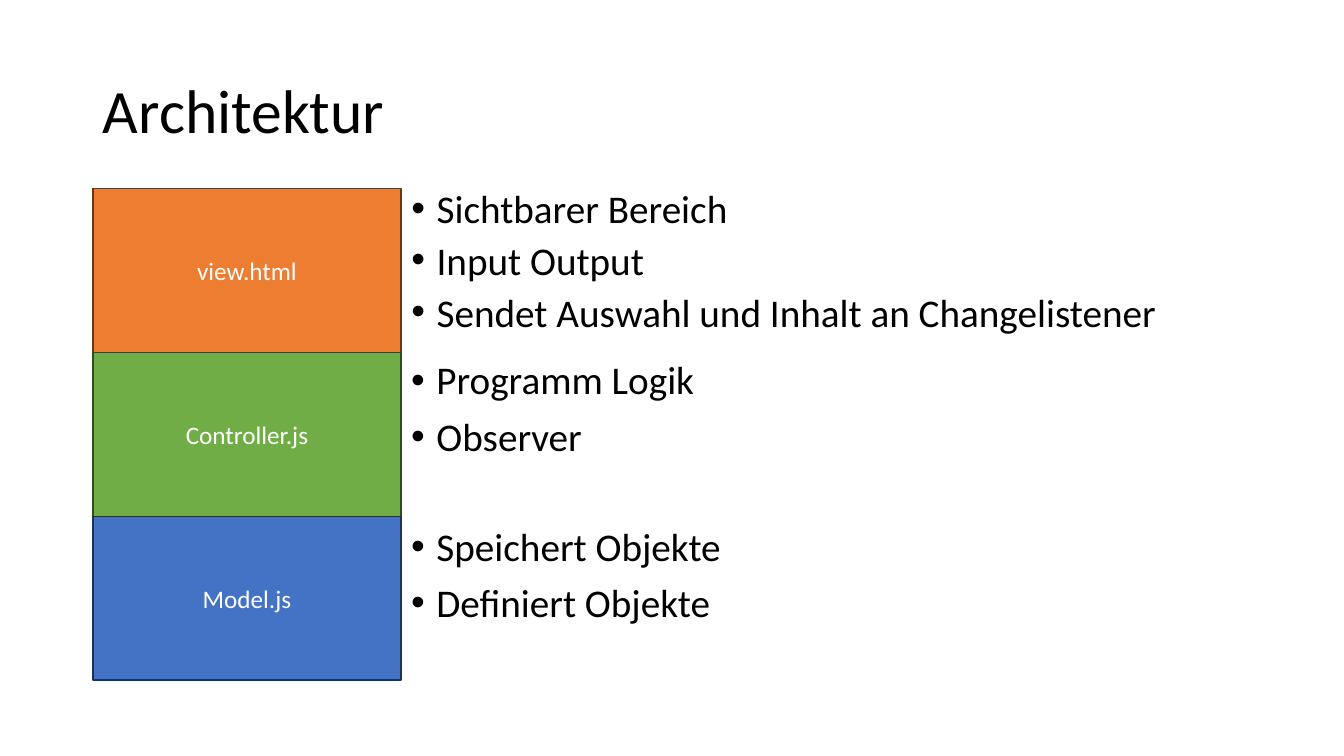
from lxml.etree import SubElement
from pptx import Presentation
from pptx.dml.color import RGBColor
from pptx.enum.shapes import MSO_SHAPE
from pptx.enum.text import MSO_ANCHOR, MSO_AUTO_SIZE, PP_ALIGN
from pptx.oxml.ns import qn
from pptx.util import Cm, Pt

BLACK = RGBColor(0x00, 0x00, 0x00)
WHITE = RGBColor(0xFF, 0xFF, 0xFF)
ORANGE, DARK_ORANGE = RGBColor(0xED, 0x7D, 0x31), RGBColor(0x68, 0x37, 0x15)
GREEN, DARK_GREEN = RGBColor(0x70, 0xAD, 0x47), RGBColor(0x31, 0x4C, 0x1F)
BLUE, DARK_BLUE = RGBColor(0x44, 0x72, 0xC4), RGBColor(0x1E, 0x32, 0x56)

# Content: name, fill, outline, bullets, line spacing, list top in cm
TITLE = "Architektur"
LAYERS = [
    ("view.html", ORANGE, DARK_ORANGE,
     ["Sichtbarer Bereich", "Input Output",
      "Sendet Auswahl und Inhalt an Changelistener"], 0.8, 4.75),
    ("Controller.js", GREEN, DARK_GREEN,
     ["Programm Logik", "Observer"], 0.9, 8.97),
    ("Model.js", BLUE, DARK_BLUE,
     ["Speichert Objekte", "Definiert Objekte"], 0.9, 13.16),
]

# Layout in cm
LEFT, STACK_TOP = 2.34, 4.75
LAYER_WIDTH, LAYER_HEIGHT = 7.77, 4.13
LIST_WIDTH = 21.44


def place(shape, left, top, width, height):
    shape.left, shape.top = Cm(left), Cm(top)
    shape.width, shape.height = Cm(width), Cm(height)


def add_bullet(paragraph):
    properties = paragraph._p.get_or_add_pPr()
    properties.set("marL", str(Cm(0.64)))
    properties.set("indent", str(-Cm(0.64)))
    SubElement(properties, qn("a:buFont")).set("typeface", "Arial")
    SubElement(properties, qn("a:buChar")).set("char", "•")


def write(shape, lines, size, color=BLACK, align=PP_ALIGN.LEFT,
          anchor=MSO_ANCHOR.MIDDLE, spacing=1.0, before=0, bullets=False):
    frame = shape.text_frame
    frame.word_wrap = True
    frame.auto_size = MSO_AUTO_SIZE.NONE
    frame.vertical_anchor = anchor
    frame.text = "\n".join(lines)
    for paragraph in frame.paragraphs:
        paragraph.alignment = align
        paragraph.line_spacing = spacing
        paragraph.space_before = Pt(before)
        if bullets:
            add_bullet(paragraph)
        font = paragraph.runs[0].font
        font.name, font.size = "Calibri", Pt(size)
        font.color.rgb = color


presentation = Presentation()
presentation.slide_width, presentation.slide_height = Cm(33.87), Cm(19.05)
slide = presentation.slides.add_slide(presentation.slide_layouts[1])

# Title
title = slide.shapes.title
place(title, LEFT, 1.01, 29.21, 3.68)
write(title, [TITLE], 44, spacing=0.9)

# Stack of layers, each with its list on the right
for index, (name, fill, outline, items, spacing, list_top) in enumerate(LAYERS):
    layer = slide.shapes.add_shape(
        MSO_SHAPE.RECTANGLE, Cm(LEFT), Cm(STACK_TOP + index * LAYER_HEIGHT),
        Cm(LAYER_WIDTH), Cm(LAYER_HEIGHT))
    layer.shadow.inherit = False
    layer.fill.solid()
    layer.fill.fore_color.rgb = fill
    layer.line.color.rgb = outline
    layer.line.width = Pt(1)
    write(layer, [name], 18, color=WHITE, align=PP_ALIGN.CENTER)

    # The first list uses the body placeholder
    if index == 0:
        item_list = slide.placeholders[1]
    else:
        item_list = slide.shapes.add_textbox(0, 0, 0, 0)
    place(item_list, LEFT + LAYER_WIDTH, list_top, LIST_WIDTH, LAYER_HEIGHT)
    write(item_list, items, 28, anchor=MSO_ANCHOR.TOP, spacing=spacing,
          before=10, bullets=True)

presentation.save("out.pptx")
